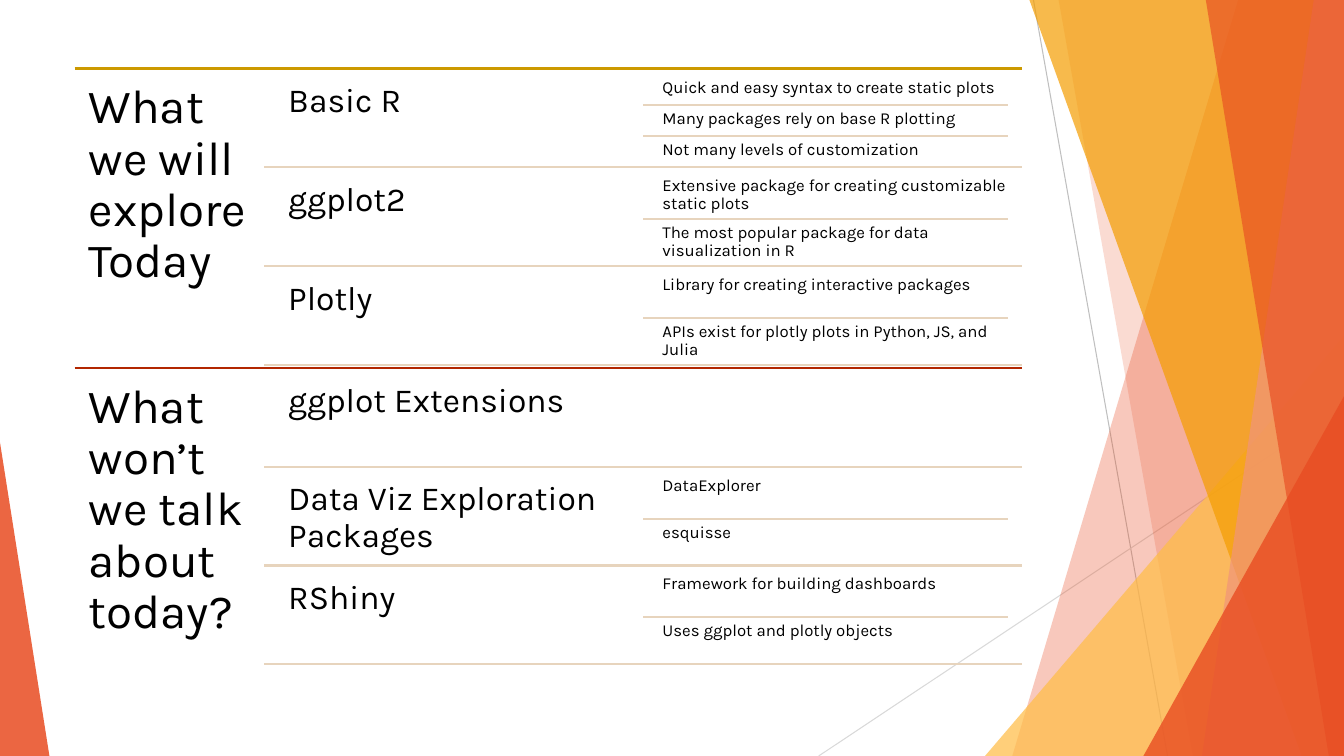
from lxml.etree import SubElement
from pptx import Presentation
from pptx.dml.color import RGBColor
from pptx.enum.shapes import MSO_CONNECTOR, MSO_SHAPE
from pptx.oxml.ns import qn
from pptx.util import Inches, Pt

COLORS = {"text": "000000", "orange": "E84C22", "amber": "F49D00",
          "yellow": "FFBD47", "salmon": "F1947A", "gold": "CC9900",
          "rust": "B22600", "sand": "E7D4BD", "gray": "BFBFBF", "pale": "D9D9D9"}
WIDTH, HEIGHT = 13.33, 7.5

deck = Presentation()
deck.slide_width, deck.slide_height = Inches(WIDTH), Inches(HEIGHT)
slide = deck.slides.add_slide(deck.slide_layouts[6])
shapes = slide.shapes


def add_rule(x1, y1, x2, y2, color, weight=1.5):
    rule = shapes.add_connector(MSO_CONNECTOR.STRAIGHT, Inches(x1), Inches(y1), Inches(x2), Inches(y2))
    rule.line.color.rgb = RGBColor.from_string(COLORS[color])
    rule.line.width = Pt(weight)
    SubElement(rule._element.spPr, qn("a:effectLst"))


def add_label(text, left, top, width, height, size, inset):
    frame = shapes.add_textbox(Inches(left), Inches(top), Inches(width), Inches(height)).text_frame
    frame.word_wrap = True
    frame.margin_left = frame.margin_right = Inches(inset)
    frame.margin_top = frame.margin_bottom = Inches(inset)
    frame.text = text
    paragraph = frame.paragraphs[0]
    paragraph.line_spacing = 0.9
    font = paragraph.runs[0].font
    font.name, font.size = "Karla", Pt(size)
    font.color.rgb = RGBColor.from_string(COLORS["text"])


add_rule(10.25, 0, 11.58, HEIGHT, "gray", 0.75)
add_rule(WIDTH, 4.03, 8.12, HEIGHT, "pale", 0.75)

facets = [
    (12.28, 10.04, 0, "orange", 30),
    (10.5, 11.83, 0, "orange", 20),
    (WIDTH, 9.77, 3.33, "yellow", 72),
    (10.21, 12.91, 0, "amber", 70),
    (13.03, 11.92, 0, "salmon", 70),
    (11.96, 13.18, 0, "orange", 65),
    (WIDTH, 11.34, 3.93, "orange", 80),
    (0, 0.49, 4.39, "orange", 85),
]
for top_x, bottom_x, top_y, color, opacity in facets:
    if top_y == 0:
        outline = shapes.build_freeform(Inches(top_x), 0)
        outline.add_line_segments([(Inches(x), Inches(y)) for x, y in
                                   ((WIDTH, 0), (WIDTH, HEIGHT), (bottom_x, HEIGHT))])
        facet = outline.convert_to_shape()
    else:
        facet = shapes.add_shape(MSO_SHAPE.ISOSCELES_TRIANGLE, Inches(min(top_x, bottom_x)), Inches(top_y),
                                 Inches(abs(top_x - bottom_x)), Inches(HEIGHT - top_y))
        facet.adjustments[0] = 1 if top_x > bottom_x else 0
    facet.shadow.inherit = False
    facet.line.fill.background()
    facet.fill.solid()
    facet.fill.fore_color.rgb = RGBColor.from_string(COLORS[color])
    tint = facet._element.spPr.find(".//" + qn("a:srgbClr"))
    SubElement(tint, qn("a:alpha")).set("val", str(opacity * 1000))

sections = [
    ("What we will explore Today", "gold", [
        ("Basic R", ["Quick and easy syntax to create static plots",
                     "Many packages rely on base R plotting",
                     "Not many levels of customization"]),
        ("ggplot2", ["Extensive package for creating customizable static plots",
                     "The most popular package for data visualization in R"]),
        ("Plotly", ["Library for creating interactive packages",
                    "APIs exist for plotly plots in Python, JS, and Julia"]),
    ]),
    ("What won’t we talk about today?", "rust", [
        ("ggplot Extensions", []),
        ("Data Viz Exploration Packages", ["DataExplorer", "esquisse"]),
        ("RShiny", ["Framework for building dashboards", "Uses ggplot and plotly objects"]),
    ]),
]
LEFT, TOP, RIGHT = 0.74, 0.68, 10.14
HEADING_WIDTH, COLUMN_WIDTH = 1.88, 3.62
SECTION_HEIGHT, ROW_HEIGHT, GAP = 2.97, 0.93, 0.05
TOPIC_RULE_LEFT = LEFT + HEADING_WIDTH
TOPIC_LEFT = TOPIC_RULE_LEFT + 0.14
DETAIL_RULE_LEFT = TOPIC_LEFT + COLUMN_WIDTH
DETAIL_LEFT = RIGHT - COLUMN_WIDTH

for section_index, (heading, accent, topics) in enumerate(sections):
    section_top = TOP + section_index * SECTION_HEIGHT
    add_rule(LEFT, section_top, RIGHT, section_top, accent)
    add_label(heading, LEFT, section_top, HEADING_WIDTH, SECTION_HEIGHT, 34, 0.14)
    for row, (topic, details) in enumerate(topics):
        row_top = section_top + GAP + row * (ROW_HEIGHT + GAP)
        add_label(topic, TOPIC_LEFT, row_top, COLUMN_WIDTH, ROW_HEIGHT, 24, 0.1)
        for step, detail in enumerate(details):
            detail_height = ROW_HEIGHT / len(details)
            detail_top = row_top + step * detail_height
            if step:
                add_rule(DETAIL_RULE_LEFT, detail_top, DETAIL_RULE_LEFT + COLUMN_WIDTH, detail_top, "sand")
            add_label(detail, DETAIL_LEFT, detail_top, COLUMN_WIDTH, detail_height, 12, 0.05)
        row_bottom = row_top + ROW_HEIGHT
        add_rule(TOPIC_RULE_LEFT, row_bottom, RIGHT, row_bottom, "sand")

deck.save("out.pptx")
